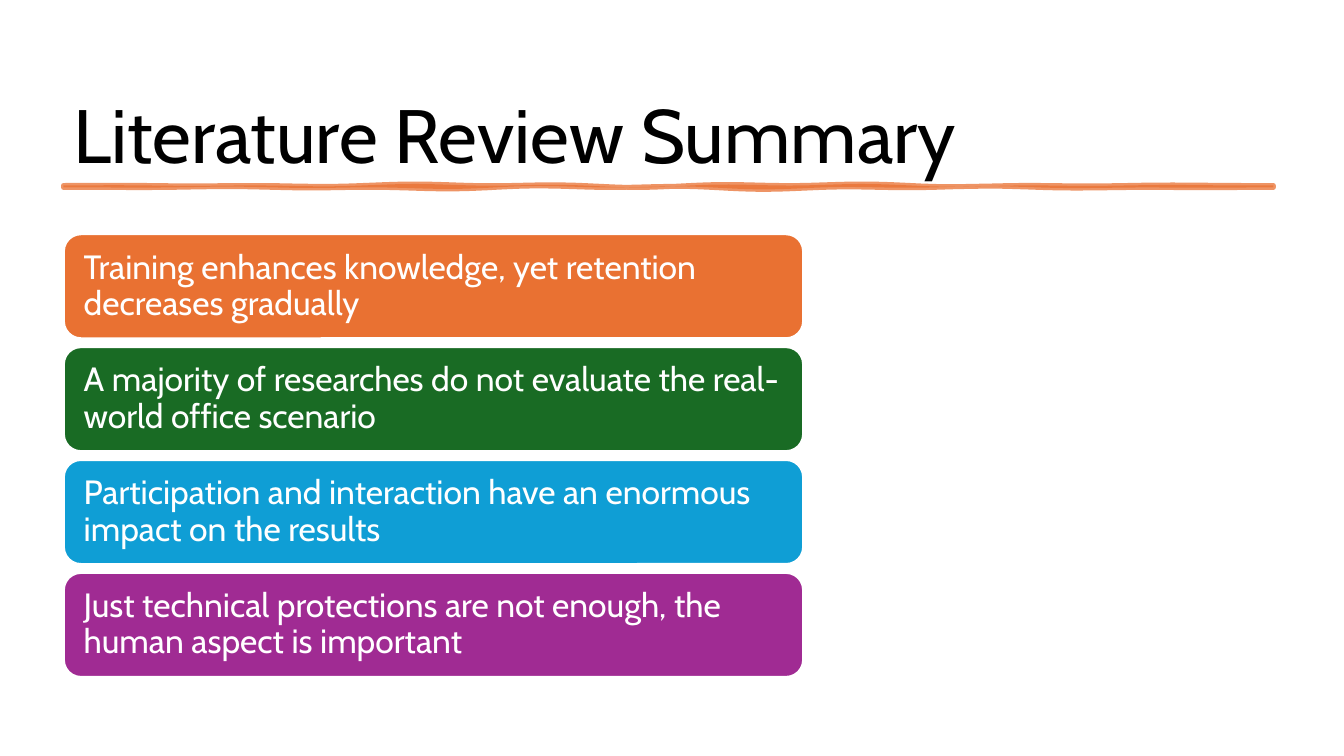
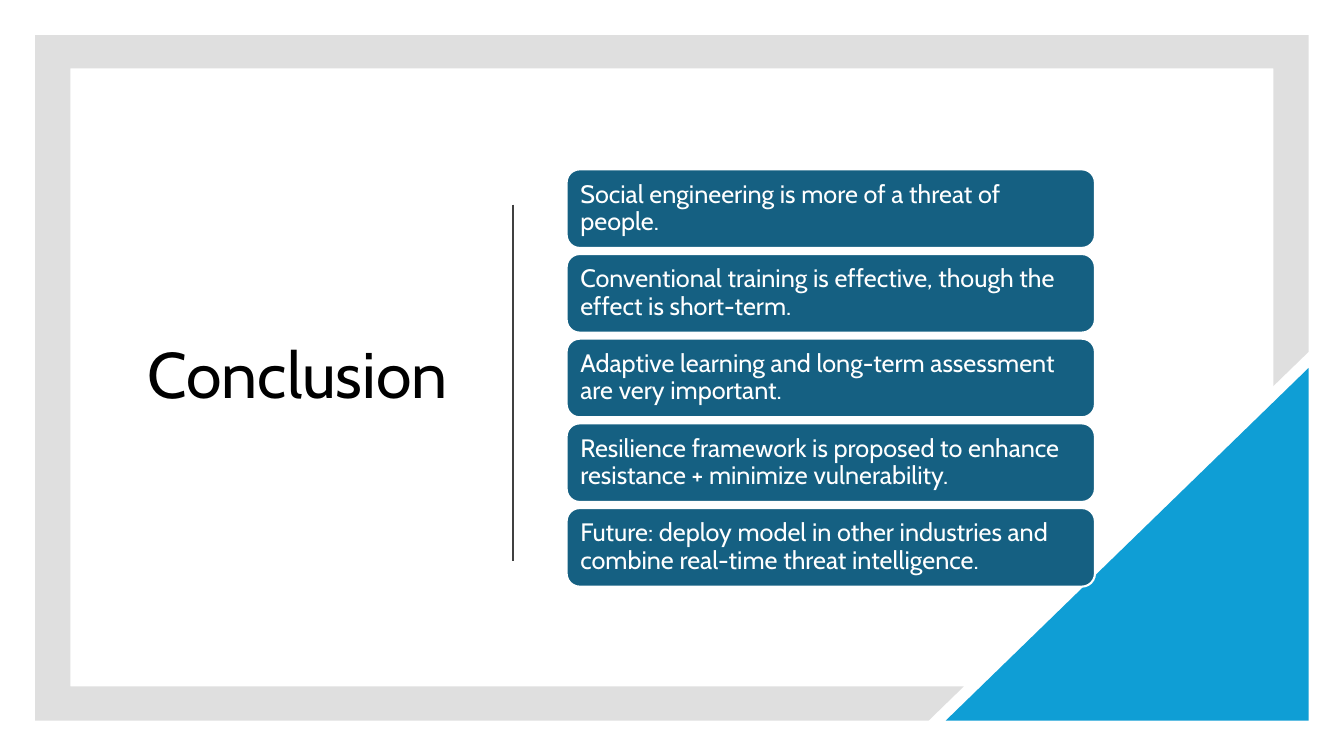
import math
import lxml.etree
import pptx
import pptx.dml.color
import pptx.enum.shapes
import pptx.enum.text
import pptx.oxml.ns
import pptx.util

Inches = pptx.util.Inches
SHAPE = pptx.enum.shapes.MSO_SHAPE
ALIGN = pptx.enum.text.PP_ALIGN
ANCHOR = pptx.enum.text.MSO_ANCHOR
qn = pptx.oxml.ns.qn

BLACK, WHITE = "000000", "FFFFFF"
ORANGE, GREEN, BLUE, PURPLE, TEAL = "E97132", "196B24", "0F9ED5", "A02B93", "156082"
GREY, DARK_GREY = "808080", "404040"


def rgb(color):
    return pptx.dml.color.RGBColor.from_string(color)


class Deck:
    """Holds the shared style and the slide being built."""

    font = "Cabin"
    line_spacing = 0.9

    def __init__(self):
        self.prs = pptx.Presentation()
        self.prs.slide_width = Inches(13.33)
        self.prs.slide_height = Inches(7.5)

    def add_slide(self):
        self.s = self.prs.slides.add_slide(self.prs.slide_layouts[5])

    def set_text(self, tf, text, size, color, align, anchor):
        tf.text = text
        tf.word_wrap = True
        tf.auto_size = pptx.enum.text.MSO_AUTO_SIZE.NONE
        tf.vertical_anchor = anchor
        p = tf.paragraphs[0]
        p.alignment = align
        p.line_spacing = self.line_spacing
        r = p.runs[0]
        r.font.name = self.font
        r.font.size = pptx.util.Pt(size)
        r.font.color.rgb = rgb(color)

    def title(self, text, box, size, align, anchor):
        sp = self.s.shapes.title
        sp.left, sp.top, sp.width, sp.height = [Inches(v) for v in box]
        self.set_text(sp.text_frame, text, size, BLACK, align, anchor)

    def paint(self, sp, fill, line=None, line_width=0, opacity=100):
        sp.shadow.inherit = False
        sp.fill.solid()
        sp.fill.fore_color.rgb = rgb(fill)
        if line:
            sp.line.color.rgb = rgb(line)
            sp.line.width = pptx.util.Pt(line_width)
        else:
            sp.line.fill.background()
        if opacity < 100:
            for clr in sp.element.spPr.iter(qn("a:srgbClr")):
                alpha = lxml.etree.SubElement(clr, qn("a:alpha"))
                alpha.set("val", str(opacity * 1000))

    def shape(self, kind, box, fill, line=None, line_width=0):
        sp = self.s.shapes.add_shape(kind, *[Inches(v) for v in box])
        self.paint(sp, fill, line, line_width)
        return sp

    def outline(self, points, fill, line=None, line_width=0, opacity=100):
        pts = [(Inches(x), Inches(y)) for x, y in points]
        builder = self.s.shapes.build_freeform(*pts[0])
        builder.add_line_segments(pts[1:], close=True)
        self.paint(builder.convert_to_shape(), fill, line, line_width, opacity)

    def brush_line(self, left, right, y, color):
        """A rough, hand-drawn stroke with two wavering edges."""
        def wobble(x, phase):
            taper = math.sin(math.pi * (x - left) / (right - left))
            wave = math.sin(1.7 * x + phase) + math.sin(4.1 * x + 2 * phase)
            return 0.01 * taper * wave

        xs = [left + (right - left) * i / 120 for i in range(121)]
        upper = [(x, y - 0.01 + wobble(x, 3.5)) for x in xs]
        lower = [(x, y + 0.01 + wobble(x, 1)) for x in reversed(xs)]
        self.outline(upper + lower, color, color, 3.5, opacity=75)

    def triangle(self, box, fill):
        sp = self.shape(SHAPE.RIGHT_TRIANGLE, box, fill)
        sp.element.spPr.find(qn("a:xfrm")).set("flipH", "1")

    def rule(self, x, top, bottom, color, width):
        cx = self.s.shapes.add_connector(
            pptx.enum.shapes.MSO_CONNECTOR.STRAIGHT,
            Inches(x), Inches(top), Inches(x), Inches(bottom))
        cx.line.color.rgb = rgb(color)
        cx.line.width = pptx.util.Pt(width)
        lxml.etree.SubElement(cx.element.spPr, qn("a:effectLst"))

    def cards(self, items, box, pitch, size, margin, line_width):
        """A column of rounded cards; box is the first card's place."""
        left, top, width, height = box
        for i, (text, fill) in enumerate(items):
            sp = self.shape(SHAPE.ROUNDED_RECTANGLE,
                            (left, top + i * pitch, width, height),
                            fill, WHITE, line_width)
            tf = sp.text_frame
            tf.margin_left = tf.margin_right = Inches(margin)
            tf.margin_top = tf.margin_bottom = Inches(0.05)
            self.set_text(tf, text, size, WHITE, ALIGN.LEFT, ANCHOR.MIDDLE)


def literature_slide(deck):
    deck.add_slide()
    deck.title("Literature Review Summary", (0.63, 0.26, 12.05, 1.57), 54,
               ALIGN.LEFT, ANCHOR.BOTTOM)
    deck.brush_line(0.63, 12.63, 1.85, ORANGE)
    findings = [
        ("Training enhances knowledge, yet retention decreases gradually", ORANGE),
        ("A majority of researches do not evaluate the real-world office scenario", GREEN),
        ("Participation and interaction have an enormous impact on the results", BLUE),
        ("Just technical protections are not enough, the human aspect is important", PURPLE),
    ]
    deck.cards(findings, (0.63, 2.32, 7.34, 1.04), 1.12, 24, 0.15, 2)


def conclusion_slide(deck):
    deck.add_slide()
    # Grey frame, cut diagonally beside the corner triangle
    frame = [(0.35, 0.35), (12.98, 0.35), (12.98, 3.49), (12.63, 3.83),
             (12.63, 0.68), (0.7, 0.68), (0.7, 6.81), (9.56, 6.81),
             (9.21, 7.15), (0.35, 7.15)]
    deck.outline(frame, GREY, opacity=25)
    deck.triangle((9.38, 3.65, 3.6, 3.5), BLUE)
    # Title and divider
    deck.title("Conclusion", (1.1, 1.3, 3.44, 4.9), 46, ALIGN.RIGHT, ANCHOR.MIDDLE)
    deck.rule(5.09, 2.03, 5.57, DARK_GREY, 1.5)
    # Closing points
    points = [
        "Social engineering is more of a threat of people.",
        "Conventional training is effective, though the effect is short-term.",
        "Adaptive learning and long-term assessment are very important.",
        "Resilience framework is proposed to enhance resistance + minimize vulnerability.",
        "Future: deploy model in other industries and combine real-time threat intelligence.",
    ]
    deck.cards([(text, TEAL) for text in points],
               (5.62, 1.68, 5.24, 0.78), 0.84, 18, 0.1, 1.5)


def main():
    deck = Deck()
    literature_slide(deck)
    conclusion_slide(deck)
    deck.prs.save("out.pptx")


if __name__ == "__main__":
    main()
